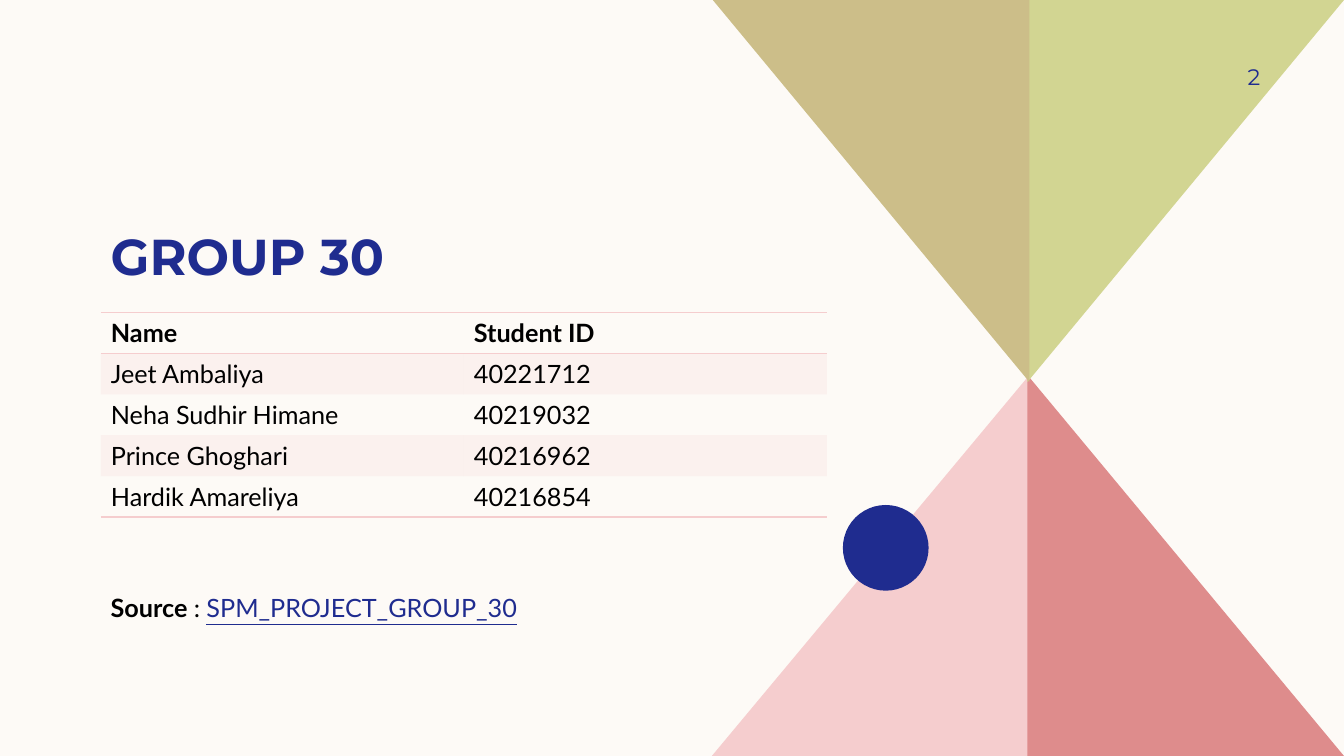
from lxml import etree
from pptx import Presentation
from pptx.dml.color import RGBColor
from pptx.enum.shapes import MSO_SHAPE
from pptx.enum.text import MSO_ANCHOR, PP_ALIGN
from pptx.oxml.ns import qn
from pptx.util import Inches, Pt

OVAL = MSO_SHAPE.OVAL
TOP, MIDDLE, BOTTOM = MSO_ANCHOR.TOP, MSO_ANCHOR.MIDDLE, MSO_ANCHOR.BOTTOM
LEFT, RIGHT = PP_ALIGN.LEFT, PP_ALIGN.RIGHT
NO_GRID_STYLE = "{2D5ABB26-0587-4C30-8999-92F81FD0307C}"

COLORS = {
    "cream": "FDFAF6", "pink": "F5CDCE", "rose": "DE8C8C", "lime": "D2D592",
    "sand": "CCBE89", "navy": "1F2C8F", "black": "000000",
}
HEADING_FONT, BODY_FONT = "Montserrat", "Lato"

TITLE = "GROUP 30"
PAGE_NUMBER = "2"
MEMBERS = [
    ("Name", "Student ID"),
    ("Jeet Ambaliya", "40221712"),
    ("Neha Sudhir Himane", "40219032"),
    ("Prince Ghoghari", "40216962"),
    ("Hardik Amareliya", "40216854"),
]
REPOSITORY = [
    ("Source ", {"bold": True}),
    (": ", {}),
    ("SPM_PROJECT_GROUP_30", {"color": "navy", "underline": True}),
]
TRIANGLES = [
    ("pink", [(10.21, 3.72), (7.06, 7.5), (10.21, 7.5)]),
    ("rose", [(10.19, 3.72), (13.33, 7.5), (10.19, 7.5)]),
    ("lime", [(10.19, 3.79), (13.33, 0), (10.19, 0)]),
    ("sand", [(10.21, 3.79), (7.07, 0), (10.21, 0)]),
]
CIRCLE = (8.36, 5.01, 0.85, 0.85)
TITLE_BOX = (1, 1.16, 7.2, 1.67)
TABLE_BOX = (1, 3.1, 7.2, 2.03)
NUMBER_BOX = (11.33, 0.5, 1.17, 0.52)
REPOSITORY_BOX = (1, 5.83, 4.6, 0.4)


def rgb(name):
    return RGBColor.from_string(COLORS[name])


def inches(lengths):
    return [Inches(length) for length in lengths]


def paint(shape, color):
    shape.shadow.inherit = False
    shape.fill.solid()
    shape.fill.fore_color.rgb = rgb(color)
    shape.line.fill.background()


def set_font(font, name, size, color, bold=False):
    font.name, font.size, font.bold = name, Pt(size), bold
    font.color.rgb = rgb(color)


def add_text_box(page, place, anchor, margins, align=LEFT):
    frame = page.shapes.add_textbox(*inches(place)).text_frame
    frame.word_wrap = True
    frame.vertical_anchor = anchor
    (frame.margin_left, frame.margin_top,
     frame.margin_right, frame.margin_bottom) = inches(margins)
    para = frame.paragraphs[0]
    para.alignment = align
    return para


def add_border(cell, side):
    line = etree.SubElement(cell._tc.get_or_add_tcPr(), qn(f"a:{side}"), w=str(Pt(1)))
    fill = etree.SubElement(line, qn("a:solidFill"))
    etree.SubElement(fill, qn("a:srgbClr"), val=COLORS["pink"])


def add_triangles(page):
    for color, points in TRIANGLES:
        start, *rest = [tuple(inches(point)) for point in points]
        builder = page.shapes.build_freeform(*start)
        builder.add_line_segments(rest, close=True)
        paint(builder.convert_to_shape(), color)


def add_members(page):
    last = len(MEMBERS) - 1
    table = page.shapes.add_table(len(MEMBERS), 2, *inches(TABLE_BOX)).table
    table._tbl.tblPr.find(qn("a:tableStyleId")).text = NO_GRID_STYLE
    for row, values in enumerate(MEMBERS):
        for column, value in enumerate(values):
            cell = table.cell(row, column)
            para = cell.text_frame.paragraphs[0]
            para.text = value
            set_font(para.font, BODY_FONT, 18, "black", bold=row == 0)
            if row == 0:
                add_border(cell, "lnT")
            if row in (0, last):
                add_border(cell, "lnB")
            if row % 2:
                cell.fill.solid()
                cell.fill.fore_color.rgb = rgb("pink")
                tint = cell._tc.tcPr.find(qn("a:solidFill")).find(qn("a:srgbClr"))
                etree.SubElement(tint, qn("a:alpha"), val="20000")
            else:
                cell.fill.background()


def main():
    """Build the group members slide."""
    deck = Presentation()
    deck.slide_width, deck.slide_height = Inches(13.33), Inches(7.5)
    page = deck.slides.add_slide(deck.slide_layouts[6])
    page.background.fill.solid()
    page.background.fill.fore_color.rgb = rgb("cream")

    add_triangles(page)
    paint(page.shapes.add_shape(OVAL, *inches(CIRCLE)), "navy")

    title = add_text_box(page, TITLE_BOX, BOTTOM, (0.1, 0, 0.1, 0))
    title.text = TITLE
    set_font(title.font, HEADING_FONT, 36, "navy", bold=True)

    add_members(page)

    number = add_text_box(page, NUMBER_BOX, MIDDLE, (0.1, 0.05, 0, 0.05), RIGHT)
    number.text = PAGE_NUMBER
    set_font(number.font, HEADING_FONT, 16, "navy")

    repository = add_text_box(page, REPOSITORY_BOX, TOP, (0.1, 0.05, 0.1, 0.05))
    for text, look in REPOSITORY:
        span = repository.add_run()
        span.text = text
        set_font(span.font, BODY_FONT, 18, look.get("color", "black"), look.get("bold", False))
        span.font.underline = look.get("underline", False)

    deck.save("out.pptx")


if __name__ == "__main__":
    main()
